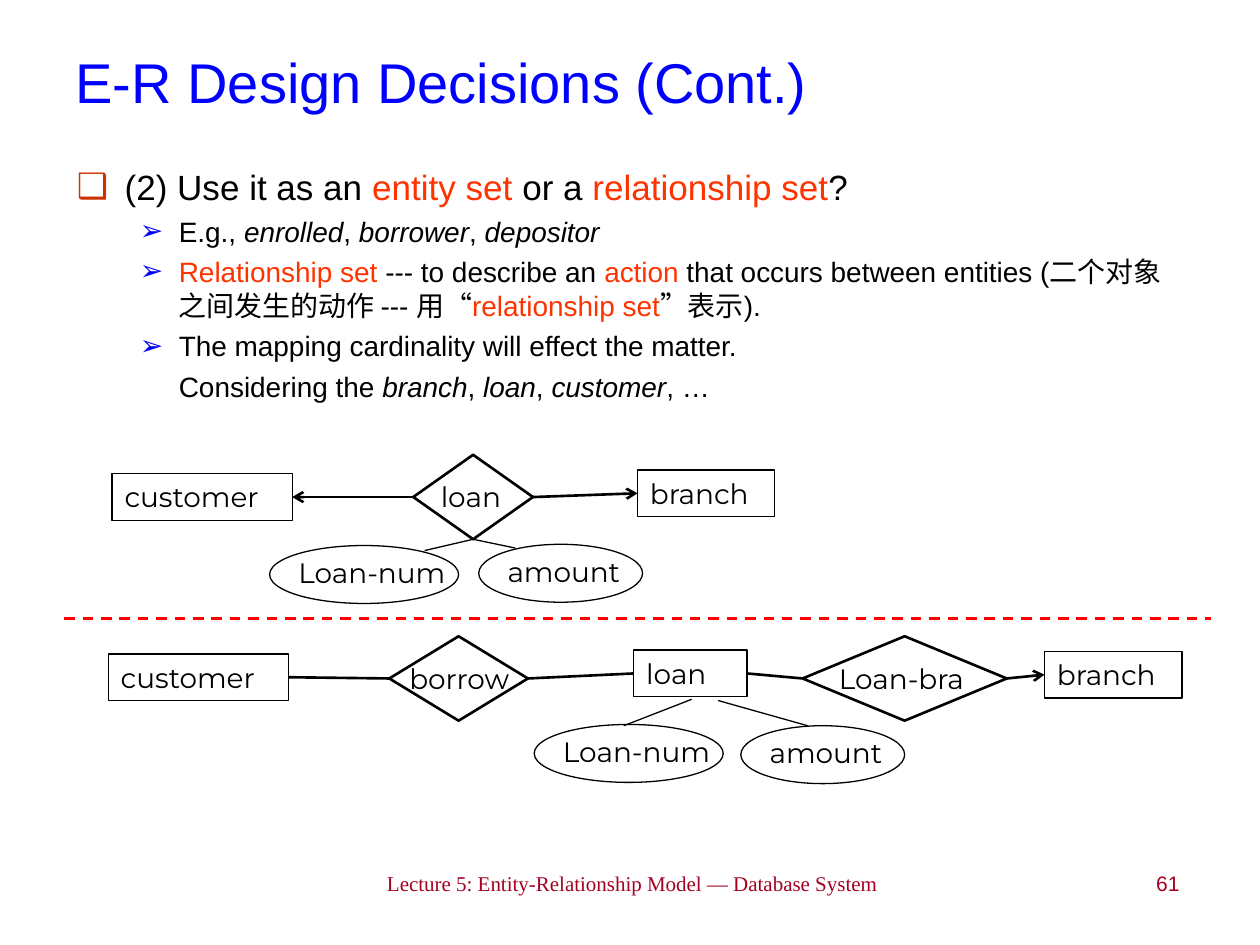
from lxml import etree
from pptx import Presentation
from pptx.dml.color import RGBColor
from pptx.enum.dml import MSO_LINE
from pptx.enum.shapes import MSO_CONNECTOR, MSO_SHAPE
from pptx.enum.text import MSO_ANCHOR, MSO_AUTO_SIZE, PP_ALIGN
from pptx.oxml.ns import qn
from pptx.util import Inches, Pt

STRAIGHT = MSO_CONNECTOR.STRAIGHT
RECTANGLE, DIAMOND, ELLIPSE = MSO_SHAPE.RECTANGLE, MSO_SHAPE.DIAMOND, MSO_SHAPE.OVAL
LEFT, CENTER, RIGHT = PP_ALIGN.LEFT, PP_ALIGN.CENTER, PP_ALIGN.RIGHT
TOP, MIDDLE = MSO_ANCHOR.TOP, MSO_ANCHOR.MIDDLE
DASH = MSO_LINE.DASH
NO_FIT, GROW = MSO_AUTO_SIZE.NONE, MSO_AUTO_SIZE.SHAPE_TO_FIT_TEXT
SIDE_LEFT, SIDE_BOTTOM, SIDE_RIGHT = 1, 2, 3

COLORS = {
    "ink": "000000",
    "title": "0000FF",
    "key": "FF3300",
    "square": "CC3300",
    "arrow": "0000FF",
    "footer": "A50021",
    "divider": "FF0000",
}

BULLETS = [
    (0, "❑", [("(2) Use it as an ", ""), ("entity set", "key"), (" or a ", ""),
              ("relationship set", "key"), ("?", "")]),
    (1, "➢", [("E.g., ", ""), ("enrolled", "italic"), (", ", ""),
              ("borrower", "italic"), (", ", ""), ("depositor", "italic")]),
    (1, "➢", [("Relationship set ", "key"), ("--- to describe an ", ""), ("action", "key"),
              (" that occurs between entities (二个对象之间发生的动作 --- 用“", ""),
              ("relationship set", "key"), ("”表示).", "")]),
    (1, "➢", [("The mapping cardinality will effect the matter.", "")]),
    (1, None, [("Considering the ", ""), ("branch", "italic"), (", ", ""),
               ("loan", "italic"), (", ", ""), ("customer", "italic"), (", …", "")]),
]


def rgb(name):
    return RGBColor.from_string(COLORS[name])


def place(placeholder, box):
    placeholder.left, placeholder.top, placeholder.width, placeholder.height = map(Inches, box)


def write(frame, words, size, face, color, align=LEFT, anchor=TOP, fit=NO_FIT):
    frame.word_wrap = True
    frame.auto_size = fit
    frame.vertical_anchor = anchor
    paragraph = frame.paragraphs[0]
    paragraph.text = words
    paragraph.alignment = align
    paragraph.font.size = Pt(size)
    paragraph.font.name = face
    paragraph.font.color.rgb = rgb(color)


def add_label(slide, words, box, size=16, face="Montserrat", color="ink", align=LEFT, fit=GROW):
    label = slide.shapes.add_textbox(*map(Inches, box))
    write(label.text_frame, words, size, face, color, align, fit=fit)


def add_outline(slide, preset, box, weight):
    outline = slide.shapes.add_shape(preset, *map(Inches, box))
    outline.shadow.inherit = False
    outline.fill.background()
    outline.line.color.rgb = rgb("ink")
    outline.line.width = Pt(weight)
    return outline


def add_entity(slide, name, left, top, width):
    entity = add_outline(slide, RECTANGLE, (left, top, width, 0.37), 0.75)
    write(entity.text_frame, name, 16, "Montserrat", "ink", fit=GROW)
    return entity


def add_relationship(slide, name, left, top, width, indent, label_width):
    relationship = add_outline(slide, DIAMOND, (left, top, width, 0.67), 1.5)
    add_label(slide, name, (left + indent, top + 0.15, label_width, 0.37))
    return relationship


def add_attribute(slide, name, left, top, width):
    add_outline(slide, ELLIPSE, (left, top, width, 0.46), 0.75)
    add_label(slide, name, (left + 0.13, top + 0.03, 1.57, 0.37))


def add_line(slide, start, end, weight=0.75, color="ink"):
    line = slide.shapes.add_connector(STRAIGHT, *map(Inches, (*start, *end)))
    etree.SubElement(line._element.spPr, qn("a:effectLst"))
    line.line.color.rgb = rgb(color)
    line.line.width = Pt(weight)
    return line


def add_link(slide, source, target, arrow=False):
    link = add_line(slide, (0, 0), (1, 1), 1.5)
    source_side, target_side = SIDE_RIGHT, SIDE_LEFT
    if source.left > target.left:
        source_side, target_side = SIDE_LEFT, SIDE_RIGHT
    link.begin_connect(source, source_side)
    link.end_connect(target, target_side)
    if arrow:
        etree.SubElement(link.line._get_or_add_ln(), qn("a:tailEnd"), type="arrow")


def add_title(slide, box):
    title = slide.shapes.title
    place(title, box)
    write(title.text_frame, "E-R Design Decisions (Cont.)", 32, "Arial", "title", anchor=MIDDLE)


def set_bullet(paragraph, level, mark):
    properties = paragraph._p.get_or_add_pPr()
    margin, hang = ((0.38, 0.38), (0.81, 0.31))[level]
    properties.set("marL", str(Inches(margin)))
    properties.set("indent", str(-Inches(hang) if mark else 0))
    if mark is None:
        etree.SubElement(properties, qn("a:buNone"))
        return
    bullet_color = etree.SubElement(properties, qn("a:buClr"))
    color = COLORS["arrow" if level else "square"]
    etree.SubElement(bullet_color, qn("a:srgbClr"), val=color)
    etree.SubElement(properties, qn("a:buChar"), char=mark)


def add_bullets(slide, box):
    body = slide.placeholders[1]
    place(body, box)
    frame = body.text_frame
    frame.word_wrap = True
    frame.auto_size = NO_FIT
    for index, (level, mark, pieces) in enumerate(BULLETS):
        paragraph = frame.add_paragraph() if index else frame.paragraphs[0]
        paragraph.level = level
        set_bullet(paragraph, level, mark)
        paragraph.space_before = Pt(4 if index else 0)
        paragraph.font.size = Pt(16 if level else 20)
        paragraph.font.name = "Arial"
        paragraph.font.color.rgb = rgb("ink")
        for words, style in pieces:
            run = paragraph.add_run()
            run.text = words
            if style == "key":
                run.font.color.rgb = rgb("key")
            elif style == "italic":
                run.font.italic = True


def add_loan_as_relationship(slide, left, top):
    customer = add_entity(slide, "customer", left, top + 0.15, 1.43)
    branch = add_entity(slide, "branch", left + 4.17, top + 0.12, 1.09)
    loan = add_relationship(slide, "loan", left + 2.39, top, 0.95, 0.12, 0.77)
    add_link(slide, loan, customer, arrow=True)
    add_link(slide, loan, branch, arrow=True)
    add_attribute(slide, "Loan-num", left + 1.25, top + 0.72, 1.5)
    add_attribute(slide, "amount", left + 2.91, top + 0.71, 1.3)
    for end in ((left + 2.48, top + 0.76), (left + 3.2, top + 0.74)):
        stem = add_line(slide, (left + 2.87, top + 0.67), end)
        stem.begin_connect(loan, SIDE_BOTTOM)


def add_loan_as_entity(slide, left, top):
    customer = add_entity(slide, "customer", left, top + 0.14, 1.43)
    loan = add_entity(slide, "loan", left + 4.17, top + 0.11, 0.9)
    branch = add_entity(slide, "branch", left + 7.43, top + 0.12, 1.09)
    borrow = add_relationship(slide, "borrow", left + 2.23, top, 1.1, 0.06, 1.26)
    loan_branch = add_relationship(slide, "Loan-bra", left + 5.51, top, 1.62, 0.19, 1.44)
    add_link(slide, customer, borrow)
    add_link(slide, borrow, loan)
    add_link(slide, loan, loan_branch)
    add_link(slide, loan_branch, branch, arrow=True)
    add_attribute(slide, "Loan-num", left + 3.38, top + 0.7, 1.5)
    add_attribute(slide, "amount", left + 5.02, top + 0.71, 1.3)
    add_line(slide, (left + 4.63, top + 0.5), (left + 4.09, top + 0.71))
    add_line(slide, (left + 4.84, top + 0.51), (left + 5.55, top + 0.71))


def add_footer(slide, left, top):
    add_label(slide, "Lecture 5: Entity-Relationship Model — Database System",
              (left, top, 5.42, 0.45), 12, "Times New Roman", "footer", CENTER, NO_FIT)
    add_label(slide, "61", (left + 5.73, top, 1.42, 0.44), 12, "Arial", "footer", RIGHT, NO_FIT)


def main():
    deck = Presentation()
    deck.slide_width, deck.slide_height = Inches(10), Inches(7.5)
    slide = deck.slides.add_slide(deck.slide_layouts[1])
    add_footer(slide, 2.31, 6.86)
    add_title(slide, (0.5, 0.02, 9, 1.25))
    add_bullets(slide, (0.51, 1.26, 9, 5.52))
    add_loan_as_relationship(slide, 0.89, 3.61)
    add_loan_as_entity(slide, 0.86, 5.05)
    divider = add_line(slide, (0.51, 4.91), (9.61, 4.91), 1.5, "divider")
    divider.line.dash_style = DASH
    deck.save("out.pptx")


if __name__ == "__main__":
    main()
